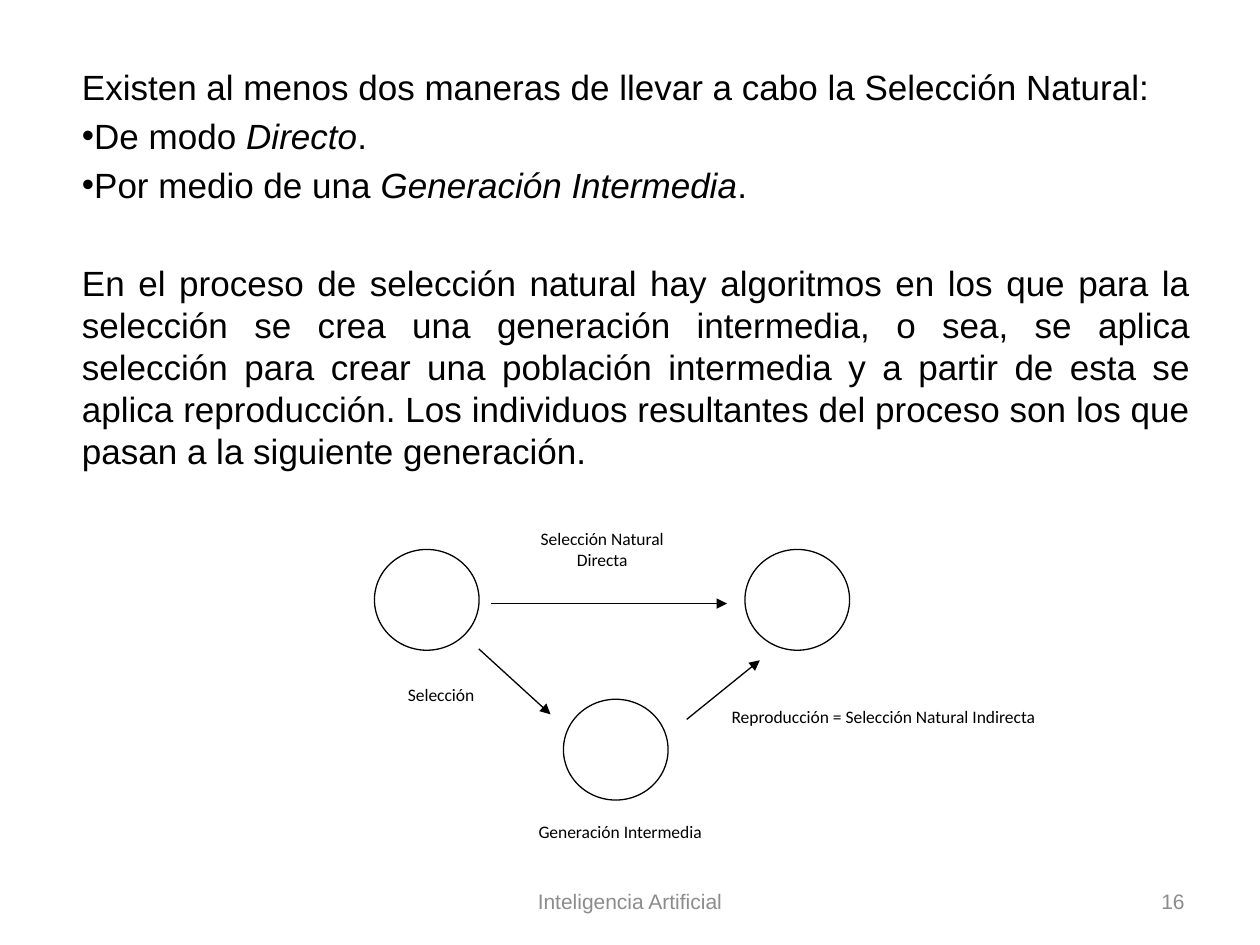
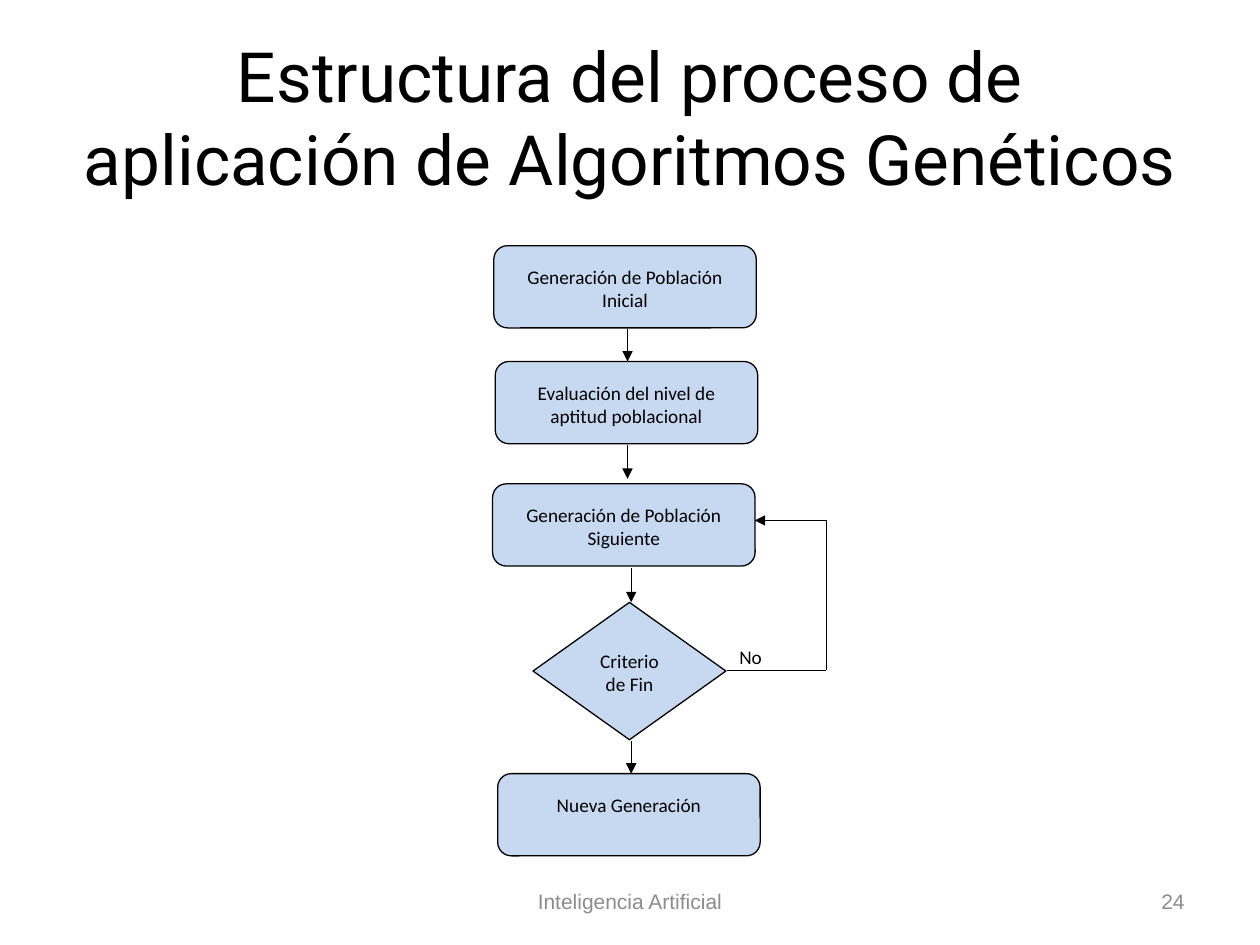
from collections import namedtuple
from itertools import pairwise

from lxml.etree import SubElement
from pptx import Presentation
from pptx.dml.color import RGBColor
from pptx.enum.shapes import MSO_CONNECTOR as Connector, MSO_SHAPE as Shape
from pptx.enum.text import MSO_ANCHOR as Anchor, MSO_AUTO_SIZE as AutoSize, PP_ALIGN as Align
from pptx.oxml.ns import qn
from pptx.util import Pt

COLORS = {"ink": "000000", "paper": "FFFFFF", "node": "C6D9F1", "footer": "8C8C8C"}
LINE_WIDTH = 0.75
FOOTER_TEXT = "Inteligencia Artificial"
TITLE_ONLY, TITLE_AND_BODY = 5, 1

Box = namedtuple("Box", "left top width height")

TITLE_BOX = Box(36, 21.6, 648, 90)
BODY_BOX = Box(39.6, 33.8, 648, 247.7)
SELECTION_BOX = Box(214, 298, 433, 206)
FLOW_BOX = Box(281.5, 140.4, 191, 349)
FOOTER_BOX = Box(246, 500.5, 228, 28.75)
NUMBER_BOX = Box(516, 500.5, 168, 28.75)


def color(name):
    """Return a named colour of the palette."""
    return RGBColor.from_string(COLORS[name])


def within(box, left, top, width, height):
    """Turn a box relative to another box into a slide box."""
    return Box(box.left + left, box.top + top, width, height)


def move(shape, box):
    """Place a shape on a box given in points."""
    shape.left, shape.top, shape.width, shape.height = (Pt(n) for n in box)


def style(para, font, size, ink="ink", align=Align.LEFT):
    """Set font, size, colour and alignment of a paragraph."""
    para.font.name, para.font.size = font, Pt(size)
    para.font.color.rgb = color(ink)
    para.alignment = align


def add_text(page, box, text, font, size, ink="ink", align=Align.LEFT, anchor=Anchor.TOP):
    """Add a wrapped text box with one paragraph."""
    frame = page.shapes.add_textbox(*(Pt(n) for n in box)).text_frame
    frame.word_wrap = True
    frame.vertical_anchor = anchor
    frame.text = text
    style(frame.paragraphs[0], font, size, ink, align)


def add_node(page, kind, box, fill, text="", side=0, top=0):
    """Add an outlined shape, with a centred label hung from its top."""
    node = page.shapes.add_shape(kind, *(Pt(n) for n in box))
    node.shadow.inherit = False
    node.fill.solid()
    node.fill.fore_color.rgb = color(fill)
    node.line.color.rgb = color("ink")
    node.line.width = Pt(LINE_WIDTH)
    if text:
        frame = node.text_frame
        frame.word_wrap = True
        frame.vertical_anchor = Anchor.TOP
        frame.margin_left = frame.margin_right = Pt(side)
        frame.margin_top, frame.margin_bottom = Pt(top), 0
        frame.text = text
        style(frame.paragraphs[0], "Calibri", 11, align=Align.CENTER)


def add_line(page, box, start, end, arrow=True):
    """Draw a straight line between two points of a box."""
    ends = (box.left + start[0], box.top + start[1], box.left + end[0], box.top + end[1])
    line = page.shapes.add_connector(Connector.STRAIGHT, *(Pt(n) for n in ends))
    line.line.color.rgb = color("ink")
    line.line.width = Pt(LINE_WIDTH)
    if arrow:
        SubElement(line.line._get_or_add_ln(), qn("a:tailEnd"), type="triangle")
    SubElement(line._element.spPr, qn("a:effectLst"))


def add_footer(page, number):
    """Add the course name and the page number."""
    for box, text, align in ((FOOTER_BOX, FOOTER_TEXT, Align.CENTER),
                             (NUMBER_BOX, number, Align.RIGHT)):
        add_text(page, box, text, "Arial", 12, "footer", align, Anchor.MIDDLE)


def fill_title(page, box, text):
    """Fill the title placeholder."""
    title = page.shapes.title
    move(title, box)
    frame = title.text_frame
    frame.auto_size = AutoSize.NONE
    frame.vertical_anchor = Anchor.MIDDLE
    frame.text = text
    style(frame.paragraphs[0], "Roboto", 39.6, align=Align.CENTER)


def fill_body(page, box, items):
    """Fill the body with (bulleted, space before, spans); odd spans are italic."""
    body = page.placeholders[1]
    move(body, box)
    frame = body.text_frame
    frame.auto_size = AutoSize.NONE
    for index, (bulleted, space, spans) in enumerate(items):
        para = frame.add_paragraph() if index else frame.paragraphs[0]
        style(para, "Arial", 20, align=Align.JUSTIFY)
        para.space_before = Pt(space)
        props = para._p.get_or_add_pPr()
        props.set("marL", "0")
        props.set("indent", "0")
        bullet = props.makeelement(qn("a:buChar"), {"char": "•"}) if bulleted \
            else props.makeelement(qn("a:buNone"), {})
        props.find(qn("a:defRPr")).addprevious(bullet)
        for place, text in enumerate(spans):
            span = para.add_run()
            span.text = text
            if place % 2:
                span.font.italic = True


def draw_selection(page, box):
    """Draw direct selection against selection by an intermediate generation."""
    for left, top in ((0, 16), (108, 101.6), (211.7, 16)):
        add_node(page, Shape.OVAL, within(box, left, top, 59.8, 57.6), "paper")
    for start, end in (((66.8, 46.9), (201.4, 46.9)),
                       ((59.6, 72.8), (100.6, 110.2)),
                       ((178.4, 113.1), (220.2, 79.3))):
        add_line(page, box, start, end)
    labels = (
        ("Selección Natural Directa", (77.6, 0, 105, 38), Align.CENTER),
        ("Selección", (12, 89.4, 65.5, 29), Align.LEFT),
        ("Reproducción = Selección Natural Indirecta", (197, 101.6, 236, 44.6), Align.LEFT),
        ("Generación Intermedia", (79.8, 167.8, 121, 38), Align.CENTER),
    )
    for text, place, align in labels:
        add_text(page, within(box, *place), text, "Calibri", 10, align=align)


def draw_flow(page, box):
    """Draw the flow chart of a genetic algorithm with its loop."""
    steps = (("Generación de Población Inicial", 0.7, 0),
             ("Evaluación del nivel de aptitud poblacional", 1.5, 66.2),
             ("Generación de Población Siguiente", 0, 136.1),
             ("Nueva Generación", 2.9, 301.7))
    for text, left, top in steps:
        add_node(page, Shape.ROUNDED_RECTANGLE, within(box, left, top, 150, 47),
                 "node", text, side=11, top=9)
    add_node(page, Shape.DIAMOND, within(box, 23.1, 203.8, 110.2, 78.5),
             "node", "Criterio de Fin", side=6, top=7)
    for x, start, end in ((77.1, 47.5, 66.2), (77.1, 113.8, 133.2),
                          (79.2, 184.3, 203.8), (79.2, 283, 301.7)):
        add_line(page, box, (x, start), (x, end))
    loop = ((133.9, 242.6), (190.8, 242.6), (190.8, 157), (149.8, 157))
    for start, end in pairwise(loop):
        add_line(page, box, start, end, arrow=end == loop[-1])
    add_text(page, within(box, 133.9, 224.6, 30, 14), "No", "Calibri", 11)


def selection_page(deck):
    """Build the page on the two ways of natural selection."""
    page = deck.slides.add_slide(deck.slide_layouts[TITLE_AND_BODY])
    title = page.shapes.title._element
    title.getparent().remove(title)
    fill_body(page, BODY_BOX, (
        (False, 4, ["Existen al menos dos maneras de llevar a cabo la Selección Natural:"]),
        (True, 4, ["De modo ", "Directo", "."]),
        (True, 4, ["Por medio de una ", "Generación Intermedia", "."]),
        (False, 32, ["En el proceso de selección natural hay algoritmos en los que para la "
                     "selección se crea una generación intermedia, o sea, se aplica selección "
                     "para crear una población intermedia y a partir de esta se aplica "
                     "reproducción. Los individuos resultantes del proceso son los que pasan "
                     "a la siguiente generación."]),
    ))
    draw_selection(page, SELECTION_BOX)
    add_footer(page, "16")


def structure_page(deck):
    """Build the page on the structure of the process."""
    page = deck.slides.add_slide(deck.slide_layouts[TITLE_ONLY])
    fill_title(page, TITLE_BOX,
               "Estructura del proceso de aplicación de Algoritmos Genéticos")
    draw_flow(page, FLOW_BOX)
    add_footer(page, "24")


deck = Presentation()
deck.slide_width, deck.slide_height = Pt(720), Pt(540)
selection_page(deck)
structure_page(deck)
deck.save("out.pptx")
